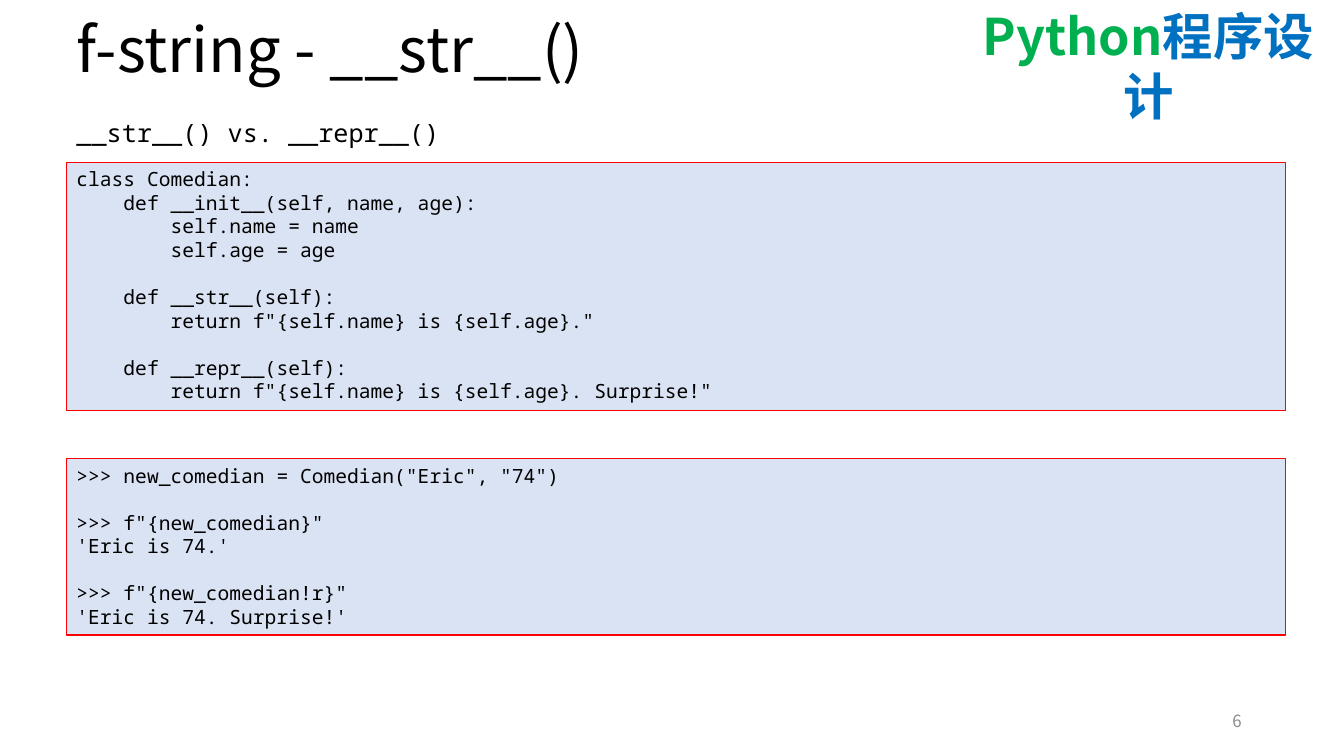
from lxml import etree
from pptx import Presentation
from pptx.dml.color import RGBColor
from pptx.enum.shapes import MSO_SHAPE
from pptx.enum.text import MSO_ANCHOR, PP_ALIGN
from pptx.oxml.ns import qn
from pptx.util import Pt

LEFT, CENTER, RIGHT = PP_ALIGN.LEFT, PP_ALIGN.CENTER, PP_ALIGN.RIGHT
TOP, MIDDLE = MSO_ANCHOR.TOP, MSO_ANCHOR.MIDDLE
RECTANGLE = MSO_SHAPE.RECTANGLE

SANS = "Noto Sans CJK SC"
MONO = "Noto Sans Mono"
COLORS = {
    "text": "000000",
    "green": "00B050",
    "blue": "0070C0",
    "page": "8C8C8C",
    "code_fill": "DAE3F3",
    "code_line": "FF0000",
}

MARGIN = 47.5
CONTENT_WIDTH = 871

CLASS_CODE = '''class Comedian:
    def __init__(self, name, age):
        self.name = name
        self.age = age

    def __str__(self):
        return f"{self.name} is {self.age}."

    def __repr__(self):
        return f"{self.name} is {self.age}. Surprise!"'''

SESSION_CODE = '''>>> new_comedian = Comedian("Eric", "74")

>>> f"{new_comedian}"
'Eric is 74.'

>>> f"{new_comedian!r}"
'Eric is 74. Surprise!\''''


def rgb(name):
    return RGBColor.from_string(COLORS[name])


def style_font(font, size, face, color, bold):
    font.size = Pt(size)
    font.name = face
    font.bold = bold
    font.color.rgb = rgb(color)


def write(shape, text, size=14, face=MONO, color="text", bold=False,
          align=LEFT, anchor=TOP, line_spacing=None):
    """Fill a shape line by line; text is a string or (words, colour) pairs on one line."""
    frame = shape.text_frame
    frame.word_wrap = True
    frame.vertical_anchor = anchor
    if isinstance(text, str):
        lines = [[(line, color)] for line in text.split("\n")]
    else:
        lines = [text]
    for index, line in enumerate(lines):
        paragraph = frame.add_paragraph() if index else frame.paragraphs[0]
        paragraph.alignment = align
        if line_spacing:
            paragraph.line_spacing = line_spacing
        style_font(paragraph.font, size, face, color, bold)
        for words, run_color in line:
            run = paragraph.add_run()
            run.text = words
            style_font(run.font, size, face, run_color, bold)
            east_asian = etree.SubElement(run.font._element, qn("a:ea"))
            east_asian.set("typeface", face)


def add_text(slide, box, text, **text_format):
    write(slide.shapes.add_textbox(*map(Pt, box)), text, **text_format)


def add_title(slide, box, text):
    title = slide.shapes.title
    title.left, title.top, title.width, title.height = map(Pt, box)
    write(title, text, size=44, face=SANS, anchor=MIDDLE, line_spacing=0.9)


def add_code_panel(slide, box, code):
    panel = slide.shapes.add_shape(RECTANGLE, *map(Pt, box))
    panel.shadow.inherit = False
    panel.fill.solid()
    panel.fill.fore_color.rgb = rgb("code_fill")
    panel.line.color.rgb = rgb("code_line")
    panel.line.width = Pt(0.75)
    write(panel, code)


def add_code_slide(deck):
    slide = deck.slides.add_slide(deck.slide_layouts[5])
    add_text(slide, (682, 0, 276.5, 51), [("Python", "green"), (" 程序设计"[1:], "blue")],
             size=36, face=SANS, bold=True, align=CENTER)
    add_title(slide, (MARGIN, 0, 828, 75.6), "f-string - __str__()")
    add_text(slide, (MARGIN, 80.6, CONTENT_WIDTH, 29), "__str__() vs. __repr__()", size=18)
    add_code_panel(slide, (MARGIN, 116, CONTENT_WIDTH, 177), CLASS_CODE)
    add_code_panel(slide, (MARGIN, 327.6, CONTENT_WIDTH, 126), SESSION_CODE)
    add_text(slide, (678, 500.5, 216, 28.8), "6",
             size=12, face=SANS, color="page", align=RIGHT, anchor=MIDDLE)


def main():
    deck = Presentation()
    deck.slide_width, deck.slide_height = Pt(960), Pt(540)
    add_code_slide(deck)
    deck.save("out.pptx")


if __name__ == "__main__":
    main()
